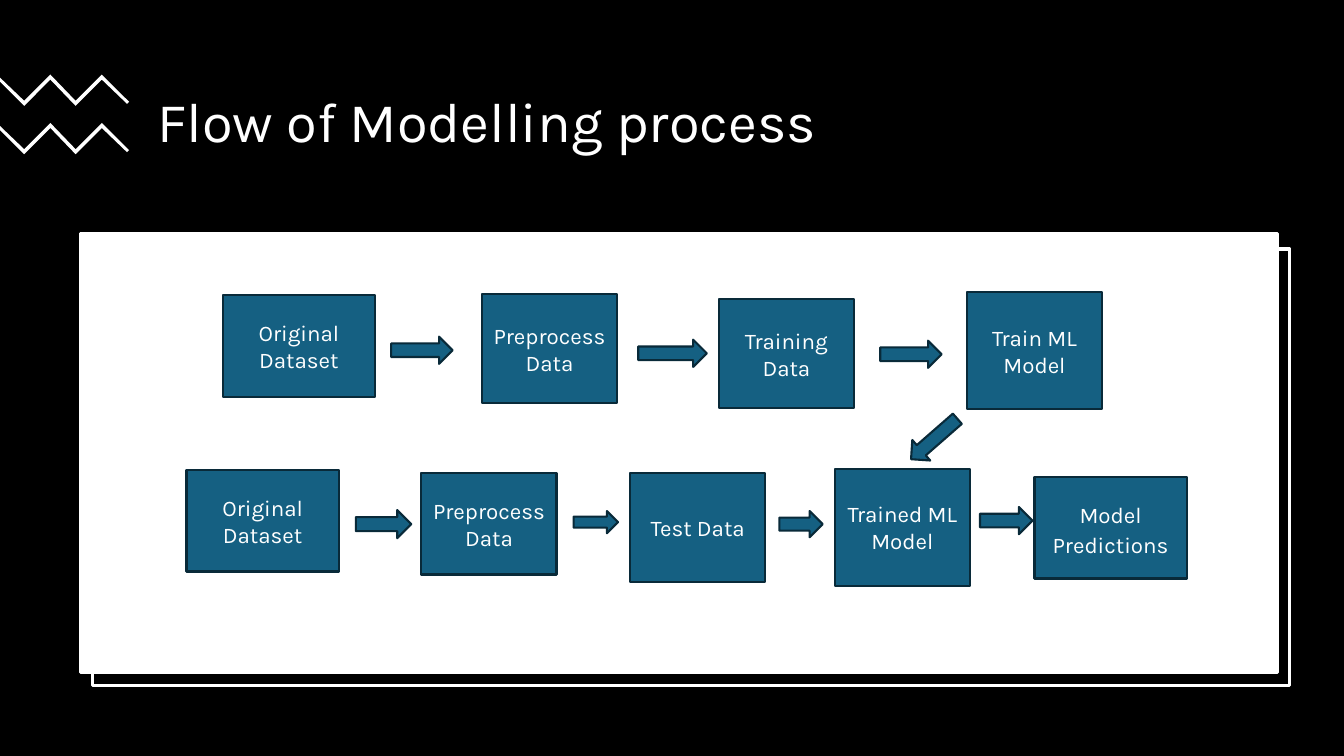
"""Build a slide showing the flow of a modelling process."""
import pptx
import pptx.dml.color
import pptx.enum.shapes
import pptx.enum.text
import pptx.util

Inches = pptx.util.Inches
Pt = pptx.util.Pt
RGBColor = pptx.dml.color.RGBColor
Kind = pptx.enum.shapes.MSO_SHAPE
Align = pptx.enum.text.PP_ALIGN

BLACK = RGBColor(0x00, 0x00, 0x00)
WHITE = RGBColor(0xFF, 0xFF, 0xFF)
BLUE = RGBColor(0x15, 0x60, 0x82)
NAVY = RGBColor(0x09, 0x2A, 0x39)


def put_text(frame, text, size=16, align=Align.CENTER, after=6, spacing=1.0):
    frame.word_wrap = True
    frame.auto_size = pptx.enum.text.MSO_AUTO_SIZE.NONE
    frame.vertical_anchor = pptx.enum.text.MSO_ANCHOR.MIDDLE
    para = frame.paragraphs[0]
    para.alignment = align
    para.space_after = Pt(after)
    para.line_spacing = spacing
    run = para.add_run()
    run.text = text
    run.font.name = "Karla"
    run.font.size = Pt(size)
    run.font.color.rgb = WHITE


def add_block(kind, box, fill=BLUE, line=NAVY, width=1.5):
    shape = slide.shapes.add_shape(kind, *[Inches(n) for n in box])
    shape.shadow.inherit = False
    shape.fill.solid()
    shape.fill.fore_color.rgb = fill
    shape.line.color.rgb = line
    shape.line.width = Pt(width)
    return shape


deck = pptx.Presentation()
deck.slide_width = Inches(13.33)
deck.slide_height = Inches(7.5)
slide = deck.slides.add_slide(deck.slide_layouts[5])
slide.background.fill.solid()
slide.background.fill.fore_color.rgb = BLACK

title = slide.shapes.title
title.left, title.top = Inches(1.46), Inches(0.62)
title.width, title.height = Inches(10.66), Inches(1.23)
put_text(title.text_frame, "Flow of Modelling process", size=40,
         align=Align.LEFT, after=0, spacing=0.9)

zigzag = [(0.5, 0), (0.75, 0.26), (1.01, 0), (1.28, 0.27), (1.26, 0.29),
          (1.01, 0.05), (0.75, 0.31), (0.5, 0.05), (0.24, 0.31),
          (0, 0.07), (0, 0.03), (0.24, 0.26)]
for top in (0.74, 1.22):
    points = [(Inches(x), Inches(top + y)) for x, y in zigzag]
    pen = slide.shapes.build_freeform(*points[0])
    pen.add_line_segments(points[1:], close=True)
    wave = pen.convert_to_shape()
    wave.shadow.inherit = False
    wave.fill.solid()
    wave.fill.fore_color.rgb = WHITE
    wave.line.fill.background()

add_block(Kind.RECTANGLE, (0.92, 2.47, 11.87, 4.33), BLACK, WHITE, 2.25)
add_block(Kind.RECTANGLE, (0.8, 2.32, 11.87, 4.35), WHITE, WHITE, 2.25)

steps = [
    ("Original Dataset", (2.21, 2.93, 1.51, 1.01), 1.0),
    ("Preprocess Data", (4.78, 2.92, 1.34, 1.08), 1.0),
    ("Training Data", (7.13, 2.97, 1.34, 1.08), 1.0),
    ("Train ML Model", (9.59, 2.9, 1.34, 1.16), 1.0),
    ("Original Dataset", (1.85, 4.66, 1.51, 1.01), 1.0),
    ("Preprocess Data", (4.18, 4.69, 1.34, 1.01), 1.0),
    ("Test Data", (6.25, 4.69, 1.34, 1.08), 1.0),
    ("Trained ML Model", (8.28, 4.65, 1.34, 1.16), 1.0),
    ("Model Predictions", (10.26, 4.73, 1.51, 1.01), 1.13),
]
for text, box, spacing in steps:
    step = add_block(Kind.RECTANGLE, box)
    put_text(step.text_frame, text, spacing=spacing)

arrows = [
    (3.88, 3.34, 0.61, 0.27, 0),
    (6.33, 3.37, 0.68, 0.27, 0),
    (8.73, 3.38, 0.61, 0.27, 0),
    (8.96, 4.22, 0.61, 0.27, 138.8),
    (3.53, 5.06, 0.55, 0.28, 0),
    (5.69, 5.07, 0.44, 0.22, 0),
    (7.73, 5.07, 0.43, 0.26, 0),
    (9.72, 5.03, 0.52, 0.27, 0),
]
for *box, angle in arrows:
    arrow = add_block(Kind.RIGHT_ARROW, box)
    arrow.rotation = angle

deck.save("out.pptx")
